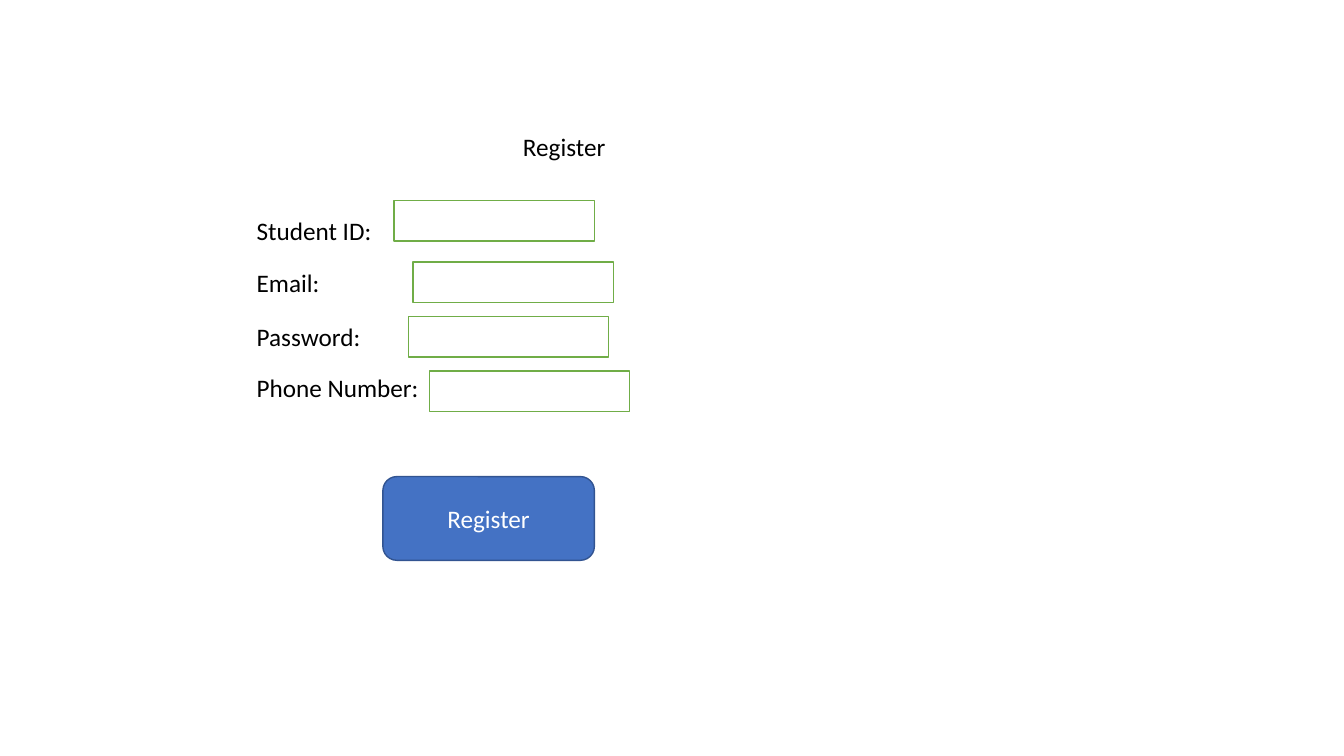
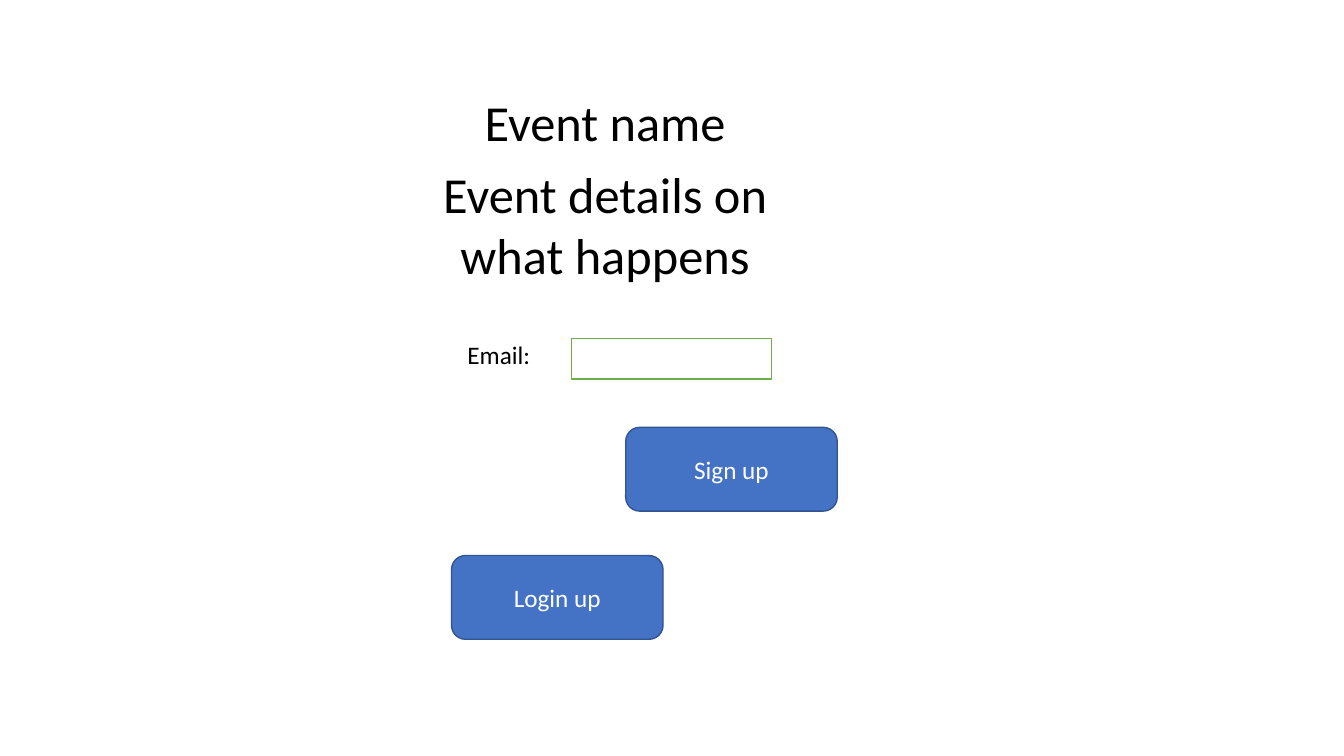
from pptx import Presentation
from pptx.dml.color import RGBColor
from pptx.enum.shapes import MSO_SHAPE
from pptx.enum.text import MSO_ANCHOR, PP_ALIGN
from pptx.util import Cm, Pt

BLACK = RGBColor(0x00, 0x00, 0x00)
WHITE = RGBColor(0xFF, 0xFF, 0xFF)
GREEN = RGBColor(0x70, 0xAD, 0x47)
BLUE = RGBColor(0x44, 0x72, 0xC4)
DARK_BLUE = RGBColor(0x32, 0x54, 0x91)

LABEL_SIZE = (7.42, 1.02)
FIELD_SIZE = (5.05, 1.02)
BUTTON_SIZE = (5.33, 2.11)
EVENT_WIDTH = 9.12

LABEL_FONT = {"name": "Calibri", "size": Pt(18)}
EVENT_FONT = {"name": "Calibri", "size": Pt(36)}

REGISTER_LEFT = 6.22
SCREENS = [
    {
        "labels": [
            ("Register", 12.93, 3.18),
            ("Student ID:", REGISTER_LEFT, 5.31),
            ("Email:", REGISTER_LEFT, 6.6),
            ("Password:", REGISTER_LEFT, 7.98),
            ("Phone Number:", REGISTER_LEFT, 9.25),
        ],
        "fields": [(9.93, 5.05), (10.41, 6.6), (10.29, 7.98), (10.82, 9.35)],
        "buttons": [("Register", 9.65, 12.01)],
        "event": [],
    },
    {
        "labels": [("Email:", 11.53, 8.43)],
        "fields": [(14.4, 8.53)],
        "buttons": [("Login up", 11.38, 14.0), ("Sign up", 15.77, 10.77)],
        "event": [
            ("Event name", 10.69, 2.18, 1.8),
            ("Event details on what happens", 10.69, 3.99, 3.33),
        ],
    },
]


def write(frame, words, font, color, align):
    frame.word_wrap = True
    paragraph = frame.paragraphs[0]
    paragraph.alignment = align
    run = paragraph.add_run()
    run.text = words
    for key, value in font.items():
        setattr(run.font, key, value)
    run.font.color.rgb = color


def add_words(slide, words, place, size, font, align):
    box = slide.shapes.add_textbox(*map(Cm, place + size))
    write(box.text_frame, words, font, BLACK, align)


def add_control(slide, preset, place, size, fill, outline):
    control = slide.shapes.add_shape(preset, *map(Cm, place + size))
    control.shadow.inherit = False
    control.fill.solid()
    control.fill.fore_color.rgb = fill
    control.line.color.rgb = outline
    control.line.width = Pt(1)
    return control


deck = Presentation()
deck.slide_width, deck.slide_height = Cm(33.87), Cm(19.05)

for screen in SCREENS:
    slide = deck.slides.add_slide(deck.slide_layouts[6])
    for words, left, top, height in screen["event"]:
        add_words(slide, words, (left, top), (EVENT_WIDTH, height),
                  EVENT_FONT, PP_ALIGN.CENTER)
    for words, left, top in screen["labels"]:
        add_words(slide, words, (left, top), LABEL_SIZE, LABEL_FONT, PP_ALIGN.LEFT)
    for place in screen["fields"]:
        add_control(slide, MSO_SHAPE.RECTANGLE, place, FIELD_SIZE, WHITE, GREEN)
    for words, left, top in screen["buttons"]:
        button = add_control(slide, MSO_SHAPE.ROUNDED_RECTANGLE, (left, top),
                             BUTTON_SIZE, BLUE, DARK_BLUE)
        button.text_frame.vertical_anchor = MSO_ANCHOR.MIDDLE
        write(button.text_frame, words, LABEL_FONT, WHITE, PP_ALIGN.CENTER)

deck.save("out.pptx")
